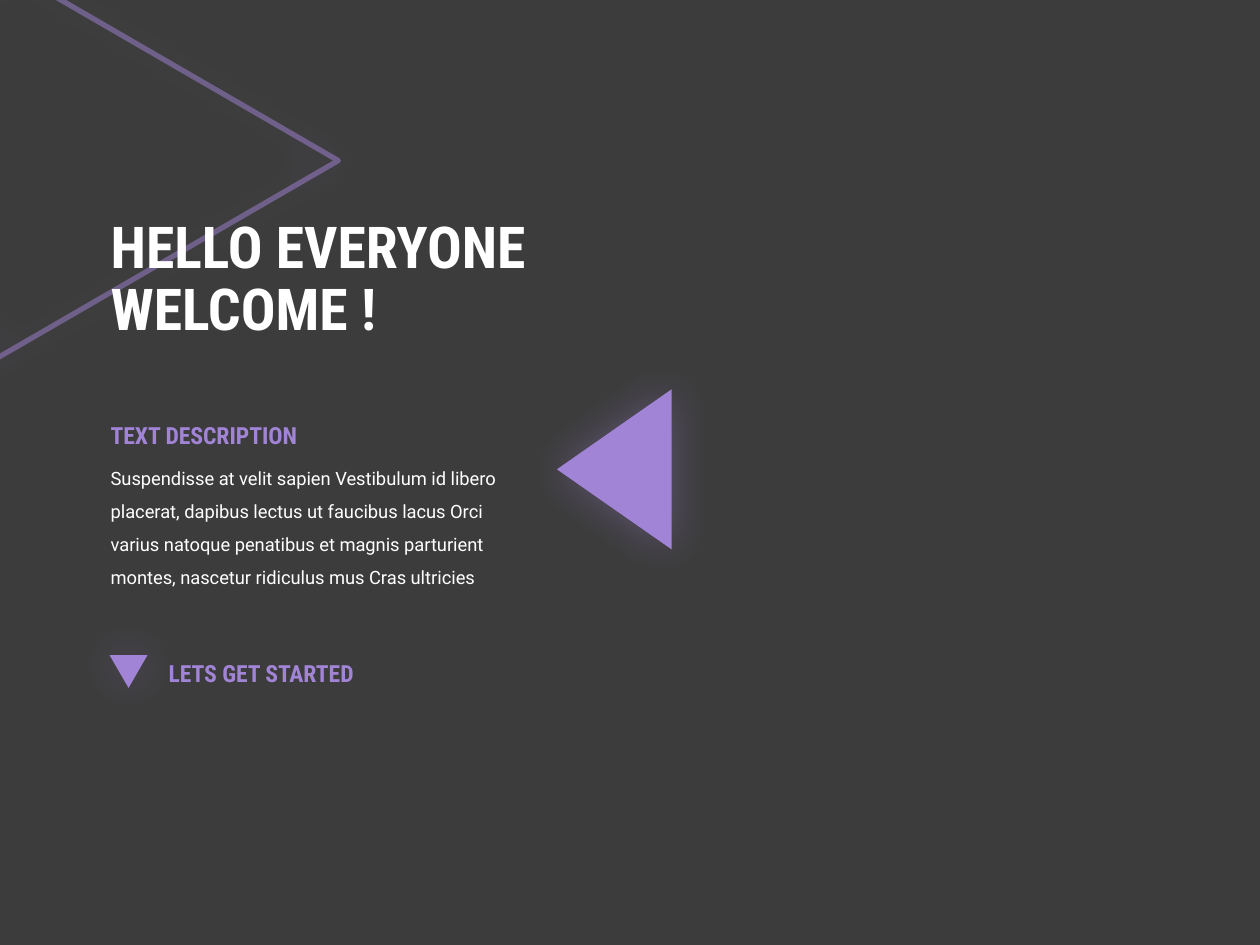
"""Builds a dark welcome slide with glowing purple triangles."""
import pptx
import pptx.dml.color
import pptx.enum.shapes
import pptx.enum.text
import pptx.oxml
import pptx.oxml.ns
import pptx.util

Pt = pptx.util.Pt
RGBColor = pptx.dml.color.RGBColor
qn = pptx.oxml.ns.qn

CHARCOAL = RGBColor(0x3C, 0x3C, 0x3C)
PURPLE = RGBColor(0xA2, 0x84, 0xD7)
WHITE = RGBColor(0xFF, 0xFF, 0xFF)

GLOW = (
    '<a:outerShdw xmlns:a="http://schemas.openxmlformats.org/drawingml/2006/main"'
    f' blurRad="{Pt(25)}" dist="0" dir="0" algn="ctr" rotWithShape="0">'
    f'<a:srgbClr val="{PURPLE}"><a:alpha val="35000"/></a:srgbClr></a:outerShdw>'
)
HALF_ALPHA = (
    '<a:alpha xmlns:a="http://schemas.openxmlformats.org/drawingml/2006/main"'
    ' val="50000"/>'
)


def add_triangle(page, left, top, width, height, rotation):
    triangle = page.shapes.add_shape(
        pptx.enum.shapes.MSO_SHAPE.ISOSCELES_TRIANGLE,
        Pt(left), Pt(top), Pt(width), Pt(height))
    triangle.rotation = rotation
    triangle.fill.solid()
    triangle.fill.fore_color.rgb = PURPLE
    triangle.line.fill.background()
    triangle.shadow.inherit = False
    effects = triangle.element.spPr.find(qn("a:effectLst"))
    effects.append(pptx.oxml.parse_xml(GLOW))
    return triangle


def add_text(page, left, top, width, height, text, font, size, color, spacing=1.0):
    box = page.shapes.add_textbox(Pt(left), Pt(top), Pt(width), Pt(height))
    frame = box.text_frame
    frame.word_wrap = True
    frame.text = text
    para = frame.paragraphs[0]
    para.line_spacing = spacing
    for span in para.runs:
        span.font.name = font
        span.font.size = Pt(size)
        span.font.bold = font == "Roboto Condensed"
        span.font.color.rgb = color
    return box


deck = pptx.Presentation()
deck.slide_width = Pt(720)
deck.slide_height = Pt(540)
page = deck.slides.add_slide(deck.slide_layouts[6])
page.background.fill.solid()
page.background.fill.fore_color.rgb = CHARCOAL

outline = add_triangle(page, -28.08, -10.8, 237.6, 205.2, 90)
outline.fill.background()
outline.line.color.rgb = PURPLE
outline.line.width = Pt(3)
line_color = outline.line._get_or_add_ln().find(".//" + qn("a:srgbClr"))
line_color.append(pptx.oxml.parse_xml(HALF_ALPHA))

title = add_text(page, 56.16, 103.68, 303.84, 113.76, "HELLO EVERYONE\vWELCOME !",
                 "Roboto Condensed", 33, WHITE, 0.9)
title.text_frame.vertical_anchor = pptx.enum.text.MSO_ANCHOR.MIDDLE

add_triangle(page, 305.28, 235.44, 91.44, 65.52, 270)

description = add_text(
    page, 56.16, 257.04, 243.36, 81.36,
    "Suspendisse at velit sapien Vestibulum id libero placerat, dapibus lectus ut "
    "faucibus lacus Orci varius natoque penatibus et magnis parturient montes, "
    "nascetur ridiculus mus Cras ultricies",
    "Roboto", 10.5, WHITE, 1.5)
heading = add_text(page, 56.16, 236.88, 132.48, 23.76, "TEXT DESCRIPTION",
                   "Roboto Condensed", 13.5, PURPLE)

add_triangle(page, 62.64, 374.4, 21.6, 18.72, 180)
call_to_action = add_text(page, 89.28, 372.96, 132.48, 23.76, "LETS GET STARTED",
                          "Roboto Condensed", 13.5, PURPLE)

for box in (description, heading, call_to_action):
    box.text_frame.auto_size = pptx.enum.text.MSO_AUTO_SIZE.SHAPE_TO_FIT_TEXT

deck.save("out.pptx")
